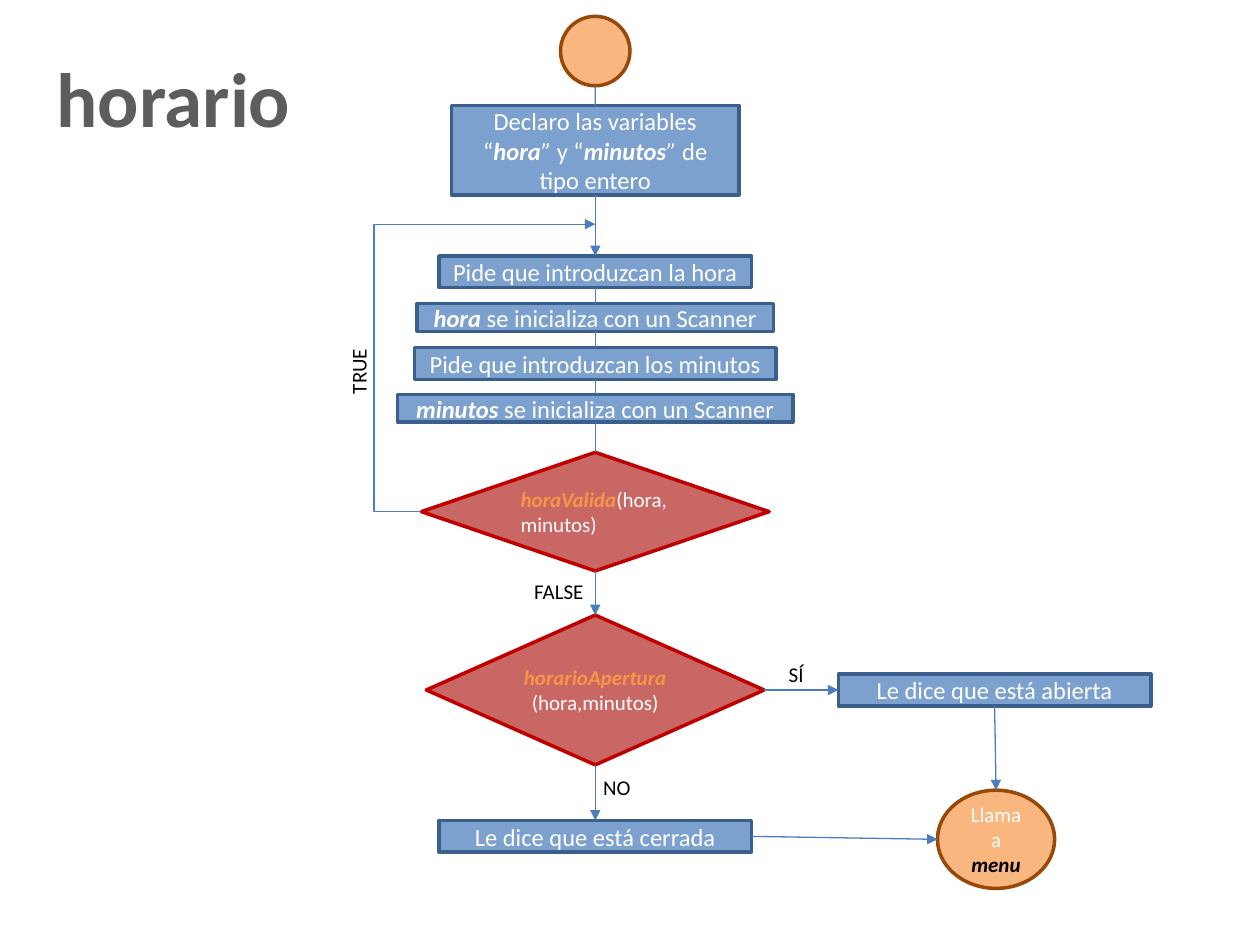
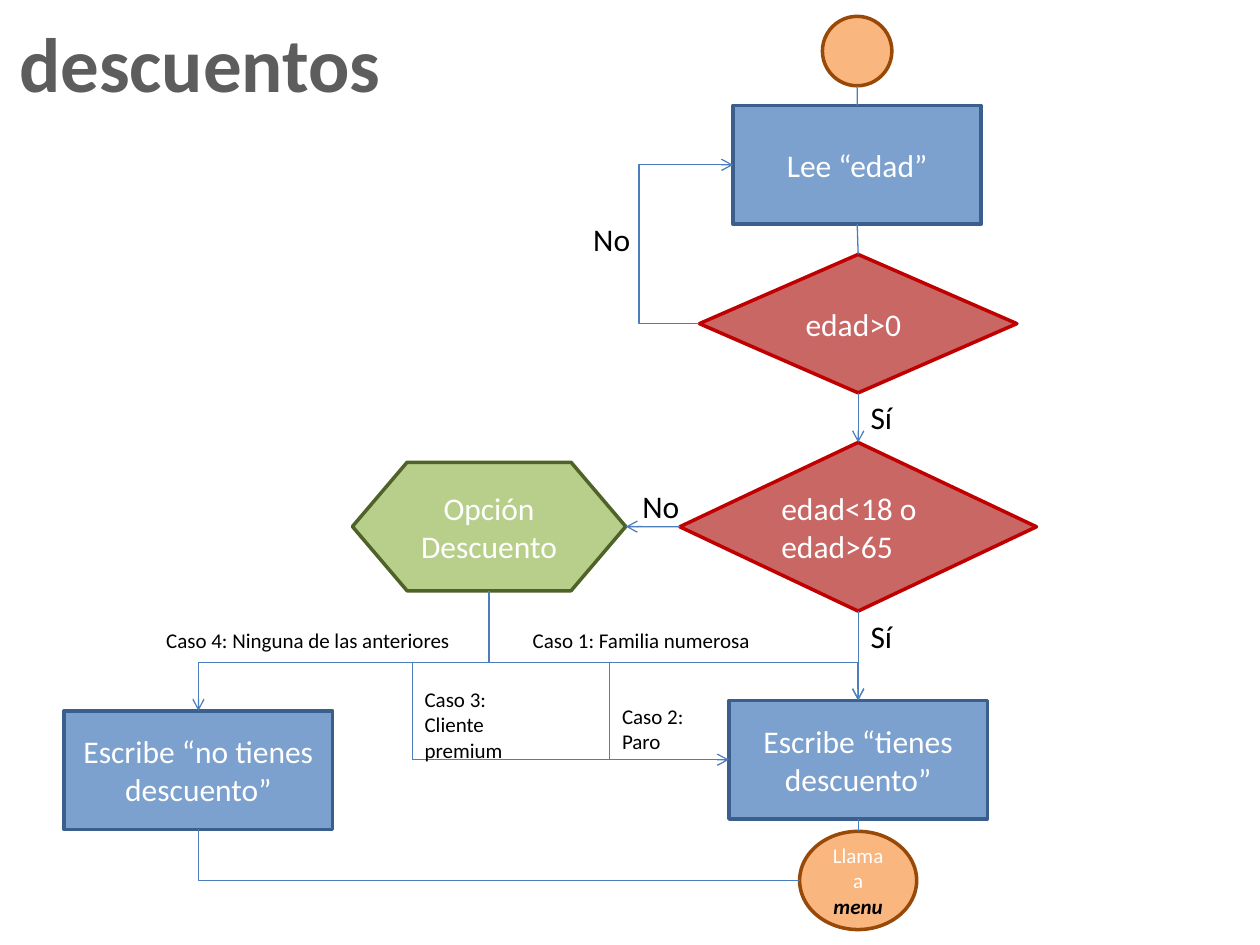
from typing import NamedTuple, Optional

from lxml.etree import SubElement
from pptx import Presentation
from pptx.dml.color import RGBColor
from pptx.enum.shapes import MSO_CONNECTOR, MSO_SHAPE
from pptx.enum.text import MSO_ANCHOR, PP_ALIGN
from pptx.oxml.ns import qn
from pptx.util import Cm, Pt

FONT = "Calibri"
WHITE = RGBColor(0xFF, 0xFF, 0xFF)
BLACK = RGBColor(0x00, 0x00, 0x00)
TITLE_GREY = RGBColor(0x5D, 0x5D, 0x5D)
CONNECTOR_BLUE = RGBColor(0x4B, 0x7E, 0xBC)
METHOD_ORANGE = RGBColor(0xF7, 0x96, 0x46)
PEACH = RGBColor(0xF9, 0xB6, 0x7F)
BROWN = RGBColor(0x98, 0x48, 0x07)
BLUE = RGBColor(0x7C, 0xA1, 0xCE)
DARK_BLUE = RGBColor(0x3A, 0x5F, 0x8C)
RED = RGBColor(0xC9, 0x67, 0x65)
DARK_RED = RGBColor(0xC0, 0x00, 0x00)
GREEN = RGBColor(0xB8, 0xCF, 0x8B)
DARK_GREEN = RGBColor(0x4F, 0x62, 0x28)


class Kind(NamedTuple):
    """Outline and colours of one kind of flowchart node."""
    preset: MSO_SHAPE
    fill: RGBColor
    line: RGBColor


class Run(NamedTuple):
    """A stretch of text that is styled apart from its paragraph."""
    text: str
    bold: bool = True
    color: Optional[RGBColor] = None


TERMINAL = Kind(MSO_SHAPE.FLOWCHART_CONNECTOR, PEACH, BROWN)
PROCESS = Kind(MSO_SHAPE.FLOWCHART_PROCESS, BLUE, DARK_BLUE)
DECISION = Kind(MSO_SHAPE.FLOWCHART_DECISION, RED, DARK_RED)
PREPARATION = Kind(MSO_SHAPE.FLOWCHART_PREPARATION, GREEN, DARK_GREEN)


def write_text(frame, paragraphs, size, color, align):
    """Fill a frame; a paragraph is a list of plain strings and italic Runs."""
    frame.word_wrap = True
    for index, pieces in enumerate(paragraphs):
        paragraph = frame.add_paragraph() if index else frame.paragraphs[0]
        paragraph.alignment = align
        paragraph.font.name = FONT
        paragraph.font.size = Pt(size)
        paragraph.font.color.rgb = color
        for piece in pieces:
            run = paragraph.add_run()
            if isinstance(piece, Run):
                run.text = piece.text
                run.font.bold = piece.bold
                run.font.italic = True
                if piece.color is not None:
                    run.font.color.rgb = piece.color
            else:
                run.text = piece


def add_title(slide, text, left, top, width):
    """Place the title placeholder and style it."""
    title = slide.shapes.title
    title.left, title.top = Cm(left), Cm(top)
    title.width, title.height = Cm(width), Cm(2.13)
    title.text_frame.text = text
    title.text_frame.word_wrap = False
    paragraph = title.text_frame.paragraphs[0]
    paragraph.alignment = PP_ALIGN.CENTER
    paragraph.font.name = FONT
    paragraph.font.size = Pt(44)
    paragraph.font.bold = True
    paragraph.font.color.rgb = TITLE_GREY


def add_node(slide, kind, center, top, width, height, paragraphs=(), size=18,
             align=PP_ALIGN.CENTER):
    """Add a flowchart node centred on a vertical axis."""
    shape = slide.shapes.add_shape(kind.preset, Cm(center - width / 2), Cm(top),
                                   Cm(width), Cm(height))
    shape.shadow.inherit = False
    shape.fill.solid()
    shape.fill.fore_color.rgb = kind.fill
    shape.line.color.rgb = kind.line
    shape.line.width = Pt(2)
    shape.text_frame.vertical_anchor = MSO_ANCHOR.MIDDLE
    write_text(shape.text_frame, paragraphs, size, WHITE, align)
    return shape


def add_start(slide, center):
    """Add the empty circle where a flow begins."""
    return add_node(slide, TERMINAL, center, 0.33, 1.4, 1.4)


def add_menu_call(slide, center, top):
    """Add the circle that hands over to the menu."""
    return add_node(slide, TERMINAL, center, top, 2.36, 1.98,
                    [["Llama a ", Run("menu", color=BLACK)]], 12)


def add_label(slide, lines, left, top, width, height, size=12, rotation=0):
    """Add a label beside a connector."""
    box = slide.shapes.add_textbox(Cm(left), Cm(top), Cm(width), Cm(height))
    box.rotation = rotation
    write_text(box.text_frame, [[line] for line in lines], size, BLACK, PP_ALIGN.LEFT)


def top_of(shape):
    """Return the middle of the top edge."""
    return shape.left + shape.width // 2, shape.top


def bottom_of(shape):
    """Return the middle of the bottom edge."""
    return shape.left + shape.width // 2, shape.top + shape.height


def left_of(shape):
    """Return the middle of the left edge."""
    return shape.left, shape.top + shape.height // 2


def right_of(shape):
    """Return the middle of the right edge."""
    return shape.left + shape.width, shape.top + shape.height // 2


def style_connector(connector, arrow):
    """Set colour and weight, drop the shadow and add an arrowhead if named."""
    connector.line.color.rgb = CONNECTOR_BLUE
    connector.line.width = Pt(0.75)
    if arrow:
        SubElement(connector.line._get_or_add_ln(), qn("a:tailEnd"), type=arrow)
    SubElement(connector.element.spPr, qn("a:effectLst"))


def connect(slide, begin, end, arrow=None):
    """Draw a straight connector between two points."""
    connector = slide.shapes.add_connector(MSO_CONNECTOR.STRAIGHT, *begin, *end)
    style_connector(connector, arrow)


def add_elbow(slide, begin, end, bend, arrow=None, vertical=False):
    """Draw an elbow whose middle segment lies at bend (y if vertical, else x)."""
    axis = 1 if vertical else 0
    fraction = (bend - begin[axis]) / (end[axis] - begin[axis])
    if vertical:
        # The preset starts sideways: lay it out flat, then turn it by 90 degrees.
        center_x, center_y = (begin[0] + end[0]) // 2, (begin[1] + end[1]) // 2
        half_x, half_y = (end[0] - begin[0]) // 2, (end[1] - begin[1]) // 2
        begin = center_x - half_y, center_y + half_x
        end = center_x + half_y, center_y - half_x
    connector = slide.shapes.add_connector(MSO_CONNECTOR.ELBOW, *begin, *end)
    properties = connector.element.spPr
    if vertical:
        properties.find(qn("a:xfrm")).set("rot", str(90 * 60000))
    adjustments = properties.find(qn("a:prstGeom")).find(qn("a:avLst"))
    SubElement(adjustments, qn("a:gd"), name="adj1", fmla=f"val {round(fraction * 100000)}")
    style_connector(connector, arrow)


def build_schedule(slide):
    """Draw the flow that reads and checks the time."""
    axis = 12
    add_title(slide, "horario", 0.86, 0.89, 5.28)
    start = add_start(slide, axis)
    declare = add_node(slide, PROCESS, axis, 2.13, 5.79, 1.8, [[
        "Declaro las variables “", Run("hora"), Run("” ", bold=False), "y “",
        Run("minutos"), Run("” ", bold=False), "de tipo entero"]], 14)
    steps = [
        add_node(slide, PROCESS, axis, top, width, height, [pieces], 14)
        for top, width, height, pieces in (
            (5.16, 6.3, 0.64, ["Pide que introduzcan la hora"]),
            (6.12, 7.19, 0.56, [Run("hora"), " se inicializa con un Scanner"]),
            (7.01, 7.29, 0.64, ["Pide que introduzcan los minutos"]),
            (7.95, 7.98, 0.56, [Run("minutos"), " se inicializa con un Scanner"]))]
    valid = add_node(slide, DECISION, axis, 9.12, 7.01, 2.39,
                     [[Run("horaValida", color=METHOD_ORANGE), "(hora,minutos)"]],
                     12, PP_ALIGN.LEFT)
    opening = add_node(slide, DECISION, axis, 12.4, 6.81, 3.02,
                       [[Run("horarioApertura", color=METHOD_ORANGE), "(hora,minutos)"]], 12)
    closed = add_node(slide, PROCESS, axis, 16.54, 6.3, 0.64,
                      [["Le dice que está cerrada"]], 14)
    opened = add_node(slide, PROCESS, 20.05, 13.59, 6.3, 0.64,
                      [["Le dice que está abierta"]], 14)
    menu = add_menu_call(slide, 20.08, 15.93)

    chain = [*steps, valid]
    for upper, lower in zip(chain, chain[1:]):
        connect(slide, bottom_of(upper), top_of(lower))
    connect(slide, bottom_of(start), top_of(declare))
    for begin, end in ((bottom_of(declare), top_of(steps[0])),
                       (bottom_of(valid), top_of(opening)),
                       (bottom_of(opening), top_of(closed)),
                       (right_of(opening), left_of(opened)),
                       (bottom_of(opened), top_of(menu)),
                       (right_of(closed), left_of(menu))):
        connect(slide, begin, end, "triangle")
    add_elbow(slide, left_of(valid), (Cm(axis), Cm(4.52)), Cm(7.54), "triangle")

    for text, left, top, rotation in (("TRUE", 6.45, 7.04, 270), ("FALSE", 10.52, 11.53, 0),
                                      ("NO", 11.91, 15.49, 0), ("SÍ", 15.65, 13.21, 0)):
        add_label(slide, [text], left, top, 1.55, 0.76, rotation=rotation)


def build_discounts(slide):
    """Draw the flow that decides on a discount."""
    axis = 17.3
    add_title(slide, "descuentos", 0.1, 0.18, 7.87)
    start = add_start(slide, 17.28)
    read = add_node(slide, PROCESS, 17.28, 2.13, 5, 2.39, [["Lee “edad”"]])
    positive = add_node(slide, DECISION, axis, 5.13, 6.4, 2.79, [["edad>0"]],
                        align=PP_ALIGN.LEFT)
    positive.text_frame.margin_left = Cm(0.54)
    age = add_node(slide, DECISION, axis, 8.92, 7.19, 3.4, [["edad<18 o edad>65"]],
                   align=PP_ALIGN.LEFT)
    option = add_node(slide, PREPARATION, 9.86, 9.32, 5.51, 2.59, [["Opción"], ["Descuento"]])
    discount = add_node(slide, PROCESS, axis, 14.12, 5.21, 2.39,
                        [["Escribe “tienes descuento”"]])
    no_discount = add_node(slide, PROCESS, 4, 14.33, 5.41, 2.39,
                           [["Escribe “no tienes descuento”"]])
    menu = add_menu_call(slide, axis, 16.76)

    for upper, lower in ((start, read), (read, positive), (discount, menu)):
        connect(slide, bottom_of(upper), top_of(lower))
    for upper, lower in ((positive, age), (age, discount)):
        connect(slide, bottom_of(upper), top_of(lower), "arrow")
    connect(slide, left_of(age), right_of(option), "arrow")
    add_elbow(slide, left_of(positive), left_of(read), Cm(12.88), "arrow")

    target = left_of(discount)
    case_2, case_3 = (Cm(12.29), target[1]), (Cm(8.31), target[1])
    for end, arrow in ((top_of(discount), "arrow"), (top_of(no_discount), "arrow"),
                       (case_2, None), (case_3, None)):
        add_elbow(slide, bottom_of(option), end, Cm(13.36), arrow, vertical=True)
    connect(slide, case_3, target, "arrow")
    menu_left = left_of(menu)
    add_elbow(slide, bottom_of(no_discount), menu_left, menu_left[1], vertical=True)

    for text, left, top in (("No", 11.71, 4.32), ("No", 12.7, 9.7),
                            ("Sí", axis, 7.9), ("Sí", axis, 12.32)):
        add_label(slide, [text], left, top, 1.4, 1.02, 18)
    add_label(slide, ["Caso 1: Familia numerosa"], 10.49, 12.52, 5.79, 0.76)
    add_label(slide, ["Caso 2:", "Paro"], 12.29, 14.05, 1.8, 1.27)
    add_label(slide, ["Caso 3: Cliente premium"], 8.31, 13.72, 2.79, 1.8)
    add_label(slide, ["Caso 4: Ninguna de las anteriores"], 3.1, 12.52, 6.81, 0.76)


def main():
    """Build both flowcharts and save the presentation."""
    presentation = Presentation()
    presentation.slide_width, presentation.slide_height = Cm(25.4), Cm(19.05)
    title_only = presentation.slide_layouts[5]
    for build in (build_schedule, build_discounts):
        build(presentation.slides.add_slide(title_only))
    presentation.save("out.pptx")


main()
